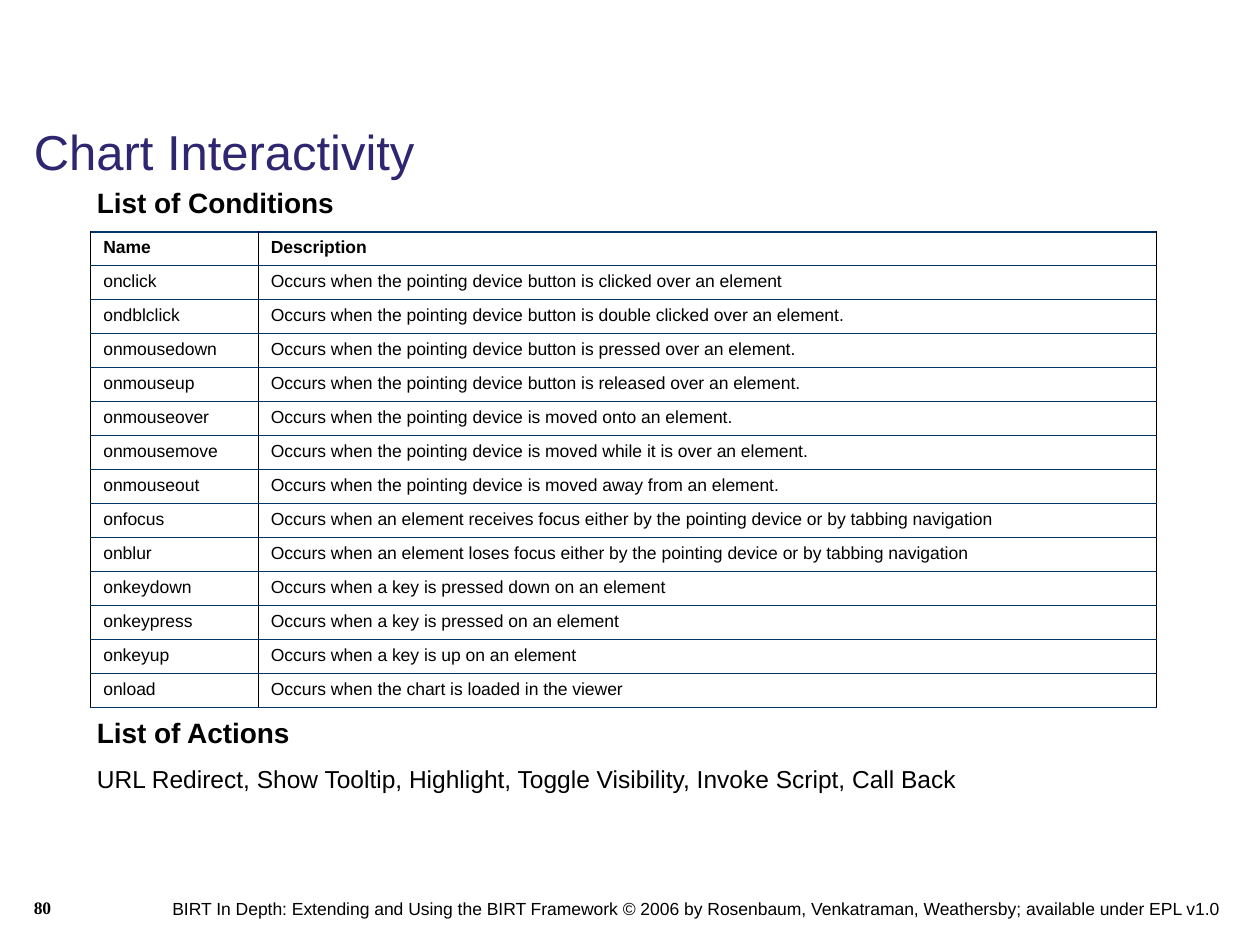
from lxml.etree import SubElement
from pptx import Presentation
from pptx.dml.color import RGBColor
from pptx.enum.text import MSO_ANCHOR, PP_ALIGN
from pptx.oxml import parse_xml
from pptx.oxml.ns import nsdecls, qn
from pptx.util import Inches, Pt

BLACK, NAVY, PURPLE, GRAY = "000000", "003366", "2F2672", "808080"

ROWS = [
    ("Name", "Description"),
    ("onclick", "Occurs when the pointing device button is clicked over an element"),
    ("ondblclick", "Occurs when the pointing device button is double clicked over an element."),
    ("onmousedown", "Occurs when the pointing device button is pressed over an element."),
    ("onmouseup", "Occurs when the pointing device button is released over an element."),
    ("onmouseover", "Occurs when the pointing device is moved onto an element."),
    ("onmousemove", "Occurs when the pointing device is moved while it is over an element."),
    ("onmouseout", "Occurs when the pointing device is moved away from an element."),
    ("onfocus", "Occurs when an element receives focus either by the pointing device or by tabbing navigation"),
    ("onblur", "Occurs when an element loses focus either by the pointing device or by tabbing navigation"),
    ("onkeydown", "Occurs when a key is pressed down on an element"),
    ("onkeypress", "Occurs when a key is pressed on an element"),
    ("onkeyup", "Occurs when a key is up on an element"),
    ("onload", "Occurs when the chart is loaded in the viewer"),
]


def style(para, size, color=BLACK, bold=False, name="Arial"):
    """Set the font of a paragraph."""
    font = para.font
    font.name, font.size, font.bold = name, Pt(size), bold
    font.color.rgb = RGBColor.from_string(color)


def shade(para):
    """Give the text of a paragraph a drop shadow."""
    for run in para.runs:
        run.font.color.rgb = RGBColor.from_string(BLACK)
        run.font.fill._xPr.append(parse_xml(
            f'<a:effectLst {nsdecls("a")}><a:outerShdw dist="25400" dir="2700000">'
            f'<a:srgbClr val="{GRAY}"/></a:outerShdw></a:effectLst>'))


def add_text(slide, box, text, size, **look):
    """Add a wrapped text box and return its frame."""
    frame = slide.shapes.add_textbox(*map(Inches, box)).text_frame
    frame.word_wrap = True
    para = frame.paragraphs[0]
    para.text = text
    style(para, size, **look)
    return frame


def add_head(slide, box, text):
    """Add a bold shadowed heading and return its frame."""
    frame = add_text(slide, box, text, 16, bold=True)
    shade(frame.paragraphs[0])
    return frame


def add_edge(cell, side, color, width):
    """Draw one border of a cell."""
    line = SubElement(cell._tc.get_or_add_tcPr(), qn(f"a:{side}"), w=str(Pt(width)))
    fill = SubElement(line, qn("a:solidFill"))
    SubElement(fill, qn("a:srgbClr"), val=color)


def fill_cell(cell, text, first, last):
    """Write a cell with its borders and no fill."""
    cell.text = text
    para = cell.text_frame.paragraphs[0]
    para.alignment = PP_ALIGN.JUSTIFY
    style(para, 10, bold=first)
    add_edge(cell, "lnL", BLACK, 0.34)
    add_edge(cell, "lnR", BLACK, 0.34)
    add_edge(cell, "lnT", NAVY, 0.96 if first else 0.45)
    add_edge(cell, "lnB", NAVY, 0.96 if last else 0.45)
    cell.fill.background()


def add_grid(slide, left, top, widths, height):
    """Add the table of conditions."""
    size = map(Inches, (left, top, sum(widths), height * len(ROWS)))
    table = slide.shapes.add_table(len(ROWS), len(widths), *size).table
    table.first_row = table.horz_banding = False
    for col, width in zip(table.columns, widths):
        col.width = Inches(width)
    for i, (row, texts) in enumerate(zip(table.rows, ROWS)):
        row.height = Inches(height)
        for cell, text in zip(row.cells, texts):
            fill_cell(cell, text, i == 0, i == len(ROWS) - 1)


def main():
    """Build the slide and save it."""
    deck = Presentation()
    deck.slide_width, deck.slide_height = Inches(10), Inches(7.5)
    slide = deck.slides.add_slide(deck.slide_layouts[6])

    add_text(slide, (1.27, 7.08, 8.73, 0.27),
             "BIRT In Depth: Extending and Using the BIRT Framework © 2006 by Rosenbaum, "
             "Venkatraman, Weathersby; available under EPL v1.0", 10)
    title = add_text(slide, (0.17, 0.95, 9.02, 0.55), "Chart Interactivity", 28, color=PURPLE)
    title.vertical_anchor = MSO_ANCHOR.MIDDLE
    title.paragraphs[0].line_spacing = 0.9

    add_grid(slide, 0.72, 1.84, (1.33, 7.13), 0.27)
    add_head(slide, (0.67, 1.42, 3.28, 0.37), "List of Conditions")
    acts = add_head(slide, (0.67, 5.63, 8.52, 0.72), "List of Actions")
    para = acts.add_paragraph()
    para.text = "URL Redirect, Show Tooltip, Highlight, Toggle Visibility, Invoke Script, Call Back"
    para.space_before = Pt(8.8)
    style(para, 14)
    shade(para)

    add_text(slide, (0.17, 7.07, 1.1, 0.35), "80", 10, bold=True, name="Times New Roman")
    deck.save("out.pptx")


if __name__ == "__main__":
    main()
